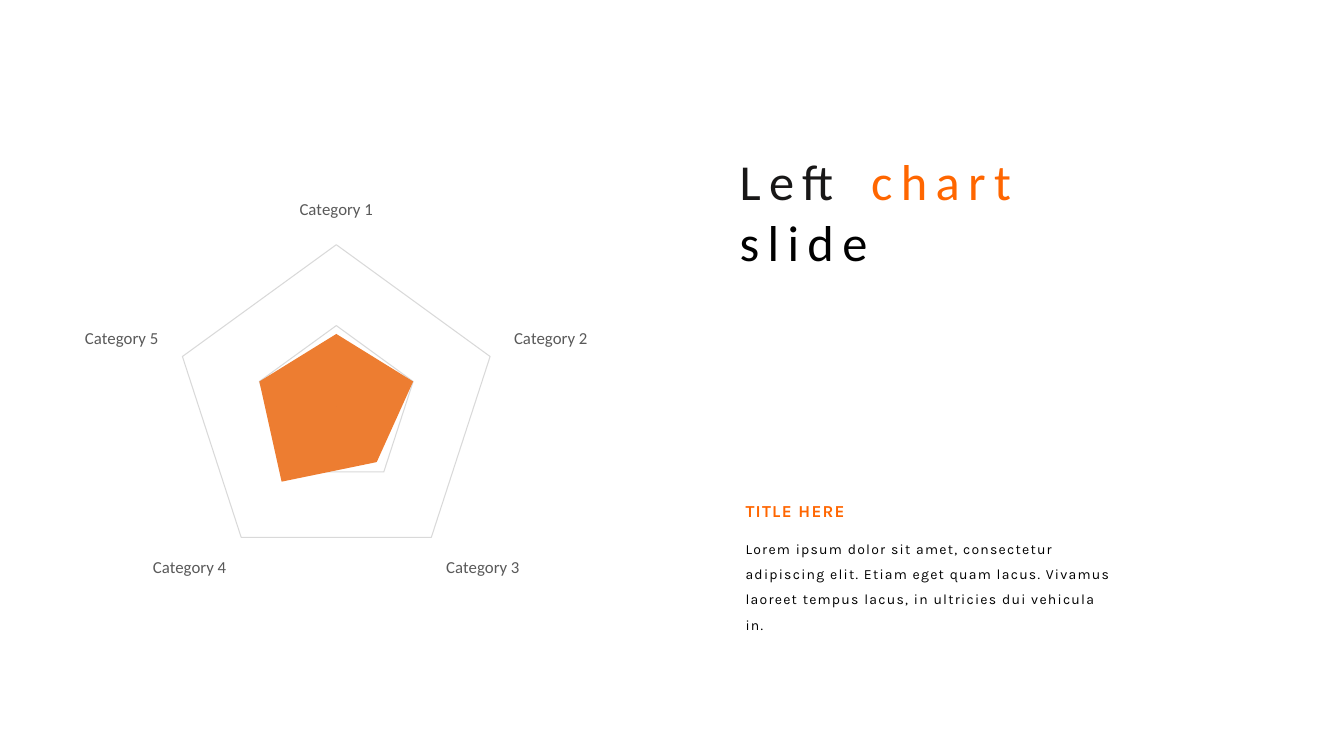
import dataclasses

import pptx
import pptx.chart.data
import pptx.dml.color
import pptx.enum.chart
import pptx.enum.text
import pptx.util
from pptx.util import Cm


@dataclasses.dataclass(frozen=True)
class Theme:
    ink: str = "000000"
    heading_ink: str = "181717"
    accent: str = "FF6600"
    label: str = "595959"
    grid: str = "D9D9D9"
    empty_series: str = "4472C4"
    filled_series: str = "ED7D31"
    heading_font: str = "Calibri"
    body_font: str = "Karla"
    heading_size: float = 36
    label_size: float = 12
    body_size: float = 10


def rgb(value):
    return pptx.dml.color.RGBColor.from_string(value)


def apply_format(target, values):
    for name, value in values.items():
        setattr(target, name, value)


class SlideBuilder:
    def __init__(self, slide, theme):
        self.slide = slide
        self.theme = theme

    def style_font(self, font, name, size, color, bold=False):
        apply_format(font, {"name": name, "size": pptx.util.Pt(size), "bold": bold})
        font.color.rgb = rgb(color)

    def style_line(self, line):
        line.color.rgb = rgb(self.theme.grid)
        line.width = pptx.util.Pt(0.75)

    def add_text(self, box, paragraphs, font, size, tracking, bold=False, wrap=True, line_spacing=1.0):
        """Each paragraph is a list of (text, color) runs."""
        frame = self.slide.shapes.add_textbox(*box).text_frame
        apply_format(frame, {
            "word_wrap": wrap,
            "auto_size": pptx.enum.text.MSO_AUTO_SIZE.SHAPE_TO_FIT_TEXT,
        })
        for index, runs in enumerate(paragraphs):
            paragraph = frame.add_paragraph() if index else frame.paragraphs[0]
            paragraph.line_spacing = line_spacing
            for text, color in runs:
                run = paragraph.add_run()
                run.text = text
                self.style_font(run.font, font, size, color, bold)
                # Letter spacing is held in hundredths of a point
                run.font._element.set("spc", str(round(tracking * 100)))

    def add_radar(self, box, categories, series, maximum, step):
        """Each series is (name, values, color)."""
        theme = self.theme
        chart_data = pptx.chart.data.CategoryChartData()
        chart_data.categories = categories
        for name, values, _ in series:
            chart_data.add_series(name, values)
        chart = self.slide.shapes.add_chart(
            pptx.enum.chart.XL_CHART_TYPE.RADAR_FILLED, *box, chart_data).chart
        apply_format(chart, {"has_legend": False, "has_title": False})
        self.style_font(chart.font, theme.heading_font, theme.body_size, theme.ink)

        for plotted, (_, _, color) in zip(chart.plots[0].series, series):
            plotted.format.fill.solid()
            plotted.format.fill.fore_color.rgb = rgb(color)
            plotted.format.line.fill.background()

        category_axis = chart.category_axis
        category_axis.major_tick_mark = pptx.enum.chart.XL_TICK_MARK.NONE
        self.style_font(category_axis.tick_labels.font, theme.heading_font,
                        theme.label_size, theme.label)
        self.style_line(category_axis.format.line)

        value_axis = chart.value_axis
        apply_format(value_axis, {
            "minimum_scale": 0,
            "maximum_scale": maximum,
            "major_unit": step,
            "has_major_gridlines": True,
            "visible": False,
        })
        self.style_line(value_axis.major_gridlines.format.line)


def main():
    theme = Theme()
    presentation = pptx.Presentation()
    presentation.slide_width = Cm(33.87)
    presentation.slide_height = Cm(19.05)
    builder = SlideBuilder(presentation.slides.add_slide(presentation.slide_layouts[6]), theme)

    # Body text and its title
    text_left = Cm(18.54)
    builder.add_text(
        (text_left, Cm(13.28), Cm(9.7), Cm(2.11)),
        [[("Lorem ipsum dolor sit amet, consectetur adipiscing elit. Etiam eget quam lacus. "
           "Vivamus laoreet tempus lacus, in ultricies dui vehicula in.", theme.ink)]],
        theme.body_font, theme.body_size, 0.9, line_spacing=1.5)
    builder.add_text(
        (text_left, Cm(12.24), Cm(7.67), Cm(0.94)),
        [[("TITLE HERE", theme.accent)]],
        theme.body_font, theme.label_size, 0.9, bold=True, line_spacing=1.5)

    # Heading
    builder.add_text(
        (Cm(18.39), Cm(3.66), Cm(10.13), Cm(3.33)),
        [[("Left ", theme.heading_ink), ("chart", theme.accent)], [("slide", theme.ink)]],
        theme.heading_font, theme.heading_size, 6, wrap=False)

    # Radar chart
    builder.add_radar(
        (Cm(1.45), Cm(4.83), Cm(14.05), Cm(9.93)),
        [f"Category {number}" for number in range(1, 6)],
        [("Series 1", [None] * 5, theme.empty_series),
         ("Series 2", [78, 87, 74, 100, 87], theme.filled_series)],
        maximum=174, step=87)

    presentation.save("out.pptx")


if __name__ == "__main__":
    main()
